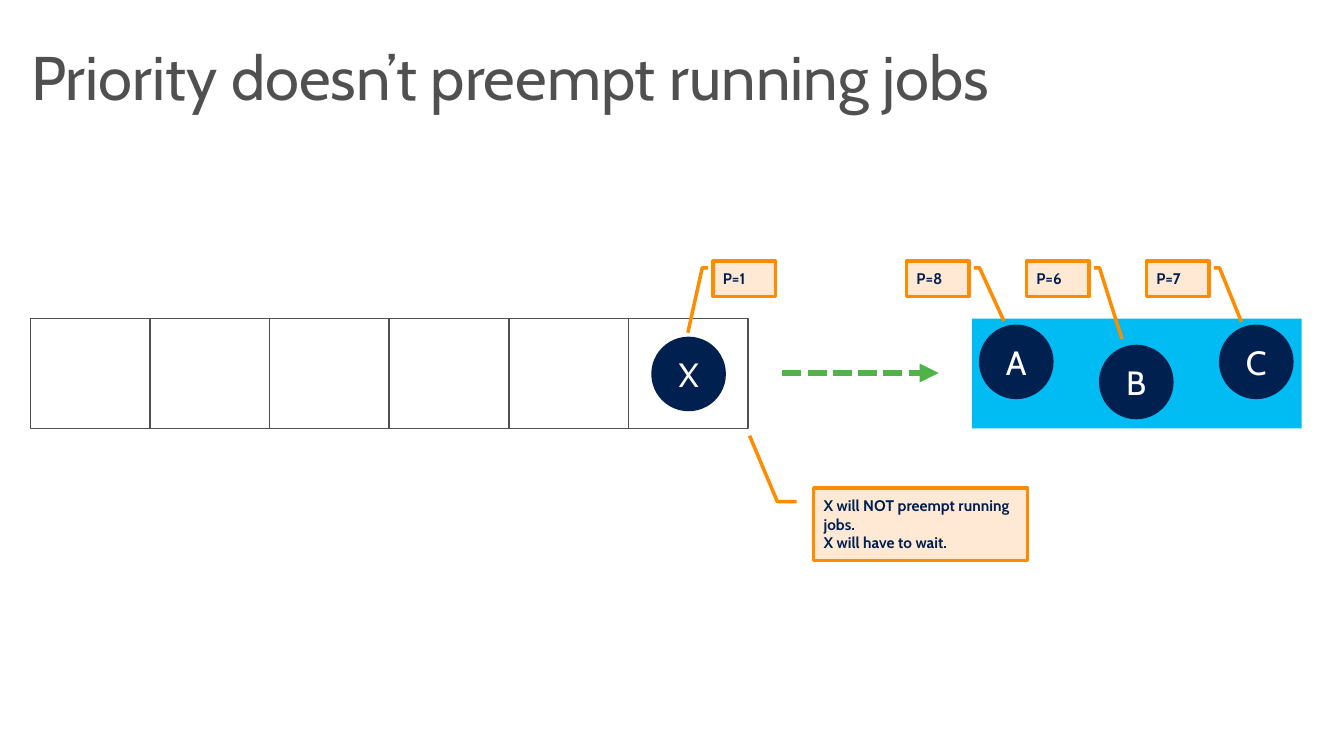
"""Build the slide on job priority and preemption."""
from lxml import etree
from pptx import Presentation
from pptx.dml.color import RGBColor
from pptx.enum.dml import MSO_LINE
from pptx.enum.shapes import MSO_CONNECTOR, MSO_SHAPE
from pptx.enum.text import MSO_ANCHOR, MSO_AUTO_SIZE, PP_ALIGN
from pptx.oxml.ns import qn
from pptx.util import Inches, Pt

RECTANGLE, OVAL, CALLOUT = MSO_SHAPE.RECTANGLE, MSO_SHAPE.OVAL, MSO_SHAPE.LINE_CALLOUT_2
STRAIGHT, DOTTED = MSO_CONNECTOR.STRAIGHT, MSO_LINE.SQUARE_DOT
LEFT, CENTER = PP_ALIGN.LEFT, PP_ALIGN.CENTER
MIDDLE, NO_FIT = MSO_ANCHOR.MIDDLE, MSO_AUTO_SIZE.NONE

WHITE = RGBColor(0xFF, 0xFF, 0xFF)
GRAY = RGBColor(0x50, 0x50, 0x50)
NAVY = RGBColor(0x00, 0x20, 0x50)
CYAN = RGBColor(0x00, 0xBC, 0xF2)
GREEN = RGBColor(0x50, 0xB3, 0x47)
ORANGE = RGBColor(0xFF, 0x8C, 0x00)
PEACH = RGBColor(0xFF, 0xE9, 0xD5)

TITLE_FONT = {"name": "Cabin", "size": Pt(44), "bold": False}
JOB_FONT = {"name": "Cabin", "size": Pt(24), "bold": False}
NOTE_FONT = {"name": "Cabin", "size": Pt(11), "bold": True}
NOTE_FRAME = {
    "margin_left": Inches(0.1), "margin_right": Inches(0.1),
    "margin_top": Inches(0.08), "margin_bottom": Inches(0.08),
}

QUEUE_LEFT, QUEUE_WIDTH, SLOT_COUNT = 0.3, 7.12, 6
LANE_TOP, LANE_HEIGHT = 3.16, 1.09
JOB_SIZE, JOB_PITCH = 0.74, 1.19
TAG_TOP, TAG_WIDTH, TAG_HEIGHT = 2.59, 0.62, 0.35
RUNNING_JOBS = [
    ("A", 3.22, "P=8", (1.7, -0.56)),
    ("B", 3.42, "P=6", (2.21, -0.53)),
    ("C", 3.22, "P=7", (1.72, -0.52)),
]


def set_text(shape, text, font, color, alignment=LEFT, frame=None):
    """Write text into a shape and format each paragraph."""
    text_frame = shape.text_frame
    text_frame.text = text
    text_frame.word_wrap = True
    text_frame.auto_size = NO_FIT
    text_frame.vertical_anchor = MIDDLE
    for name, value in (frame or {}).items():
        setattr(text_frame, name, value)
    for paragraph in text_frame.paragraphs:
        paragraph.alignment = alignment
        for name, value in font.items():
            setattr(paragraph.font, name, value)
        paragraph.font.color.rgb = color


def add_box(slide, kind, box, fill, line=None, width=1):
    """Add a filled shape with an optional outline."""
    shape = slide.shapes.add_shape(kind, *map(Inches, box))
    shape.shadow.inherit = False
    shape.fill.solid()
    shape.fill.fore_color.rgb = fill
    if line is None:
        shape.line.fill.background()
    else:
        shape.line.color.rgb = line
        shape.line.width = Pt(width)
    return shape


def add_job(slide, letter, left, top):
    """Add a round job marker."""
    shape = add_box(slide, OVAL, (left, top, JOB_SIZE, JOB_SIZE), NAVY)
    set_text(shape, letter, JOB_FONT, WHITE, CENTER)


def add_callout(slide, text, box, target, flipped=False):
    """Add a note whose leader ends at a relative target (down, across)."""
    shape = add_box(slide, CALLOUT, box, PEACH, ORANGE, 2.5)
    for index, value in enumerate((0.19, -0.08, 0.19, -0.17, *target)):
        shape.adjustments[index] = value
    if flipped:
        shape.element.spPr.find(qn("a:xfrm")).set("flipH", "1")
    set_text(shape, text, NOTE_FONT, NAVY, frame=NOTE_FRAME)


def add_arrow(slide, start, end):
    """Add a dotted arrow between two points."""
    arrow = slide.shapes.add_connector(STRAIGHT, *map(Inches, start + end))
    arrow.line.color.rgb = GREEN
    arrow.line.width = Pt(4.5)
    arrow.line.dash_style = DOTTED
    etree.SubElement(arrow.line._get_or_add_ln(), qn("a:tailEnd"), type="triangle")
    etree.SubElement(arrow.element.spPr, qn("a:effectLst"))


def add_title(slide, text):
    """Place and format the title."""
    title = slide.shapes.title
    title.left, title.top, title.width, title.height = map(Inches, (0.21, 0.33, 12.92, 0.94))
    set_text(title, text, TITLE_FONT, GRAY)
    title.text_frame.paragraphs[0].line_spacing = 0.9


def add_queue(slide):
    """Add the row of queue slots."""
    width = QUEUE_WIDTH / SLOT_COUNT
    for index in range(SLOT_COUNT):
        box = (QUEUE_LEFT + index * width, LANE_TOP, width, LANE_HEIGHT)
        add_box(slide, RECTANGLE, box, WHITE, GRAY)


def add_running_jobs(slide):
    """Add the running lane with its jobs and priorities."""
    add_box(slide, RECTANGLE, (9.64, LANE_TOP, 3.27, LANE_HEIGHT), CYAN)
    for index, (letter, top, priority, target) in enumerate(RUNNING_JOBS):
        offset = index * JOB_PITCH
        add_job(slide, letter, 9.71 + offset, top)
        box = (8.99 + offset, TAG_TOP, TAG_WIDTH, TAG_HEIGHT)
        add_callout(slide, priority, box, target, flipped=True)


def main():
    """Build and save the slide."""
    presentation = Presentation()
    presentation.slide_width = Inches(13.33)
    presentation.slide_height = Inches(7.5)
    slide = presentation.slides.add_slide(presentation.slide_layouts.get_by_name("Title Only"))
    add_title(slide, "Priority doesn’t preempt running jobs")
    add_queue(slide)
    add_arrow(slide, (7.76, 3.7), (9.31, 3.7))
    add_callout(slide, "P=1", (7.07, TAG_TOP, TAG_WIDTH, TAG_HEIGHT), (2.03, -0.4))
    add_job(slide, "X", 6.46, 3.34)
    add_running_jobs(slide)
    warning = "X will NOT preempt running jobs.\nX will have to wait."
    add_callout(slide, warning, (8.07, 4.84, 2.12, 0.72), (-0.72, -0.3))
    presentation.save("out.pptx")


if __name__ == "__main__":
    main()
